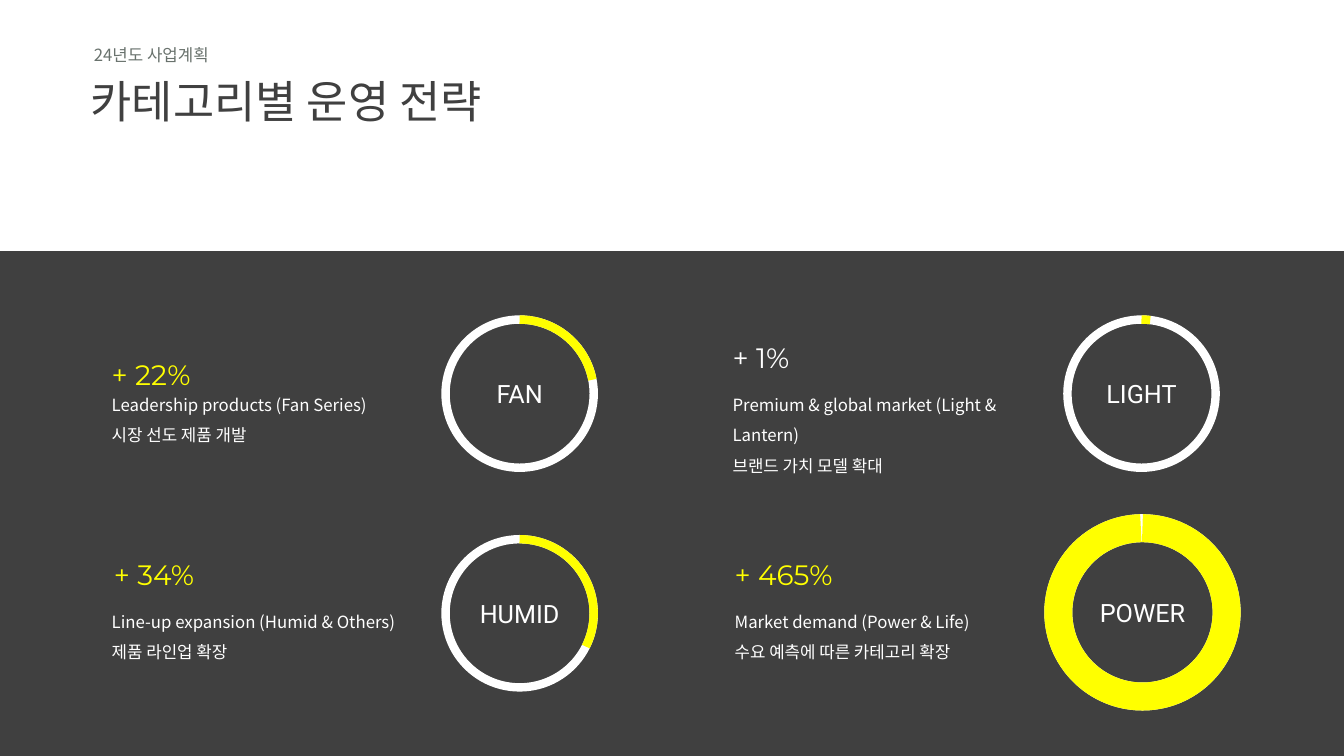
from dataclasses import dataclass

from lxml.etree import SubElement
from pptx import Presentation
from pptx.dml.color import RGBColor
from pptx.enum.shapes import MSO_SHAPE as Shape
from pptx.enum.text import MSO_ANCHOR as Anchor, MSO_AUTO_SIZE as AutoSize, PP_ALIGN as Align
from pptx.oxml.ns import qn
from pptx.util import Pt


@dataclass(frozen=True)
class Theme:
    dark: RGBColor = RGBColor(0x40, 0x40, 0x40)
    muted: RGBColor = RGBColor(0x69, 0x72, 0x6D)
    white: RGBColor = RGBColor(0xFF, 0xFF, 0xFF)
    accent: RGBColor = RGBColor(0xFF, 0xFF, 0x00)
    body_font: str = "Noto Sans CJK KR"
    figure_font: str = "Montserrat"
    label_font: str = "Roboto"
    title_size: int = 32
    figure_size: int = 20
    label_size: int = 18
    body_size: int = 12


THEME = Theme()
FULL_TURN = 216
TOP_ANGLE = 162


@dataclass(frozen=True)
class Category:
    name: str
    growth: str
    lines: tuple
    share: float
    centre: tuple
    growth_at: tuple
    lines_at: tuple
    lines_width: float = 226
    growth_color: RGBColor = THEME.accent
    growth_spacing: float = 1.0
    diameter: float = 105.84
    stroke: float = 6


CATEGORIES = (
    Category("FAN", "+ 22%", ("Leadership products (Fan Series)", "시장 선도 제품 개발"),
             0.22, (371.2, 281.2), (72.7, 239.8), (72.7, 271.4), growth_spacing=1.5),
    Category("HUMID", "+ 34%", ("Line-up expansion (Humid & Others)", "제품 라인업 확장"),
             0.3241, (371.2, 438.1), (74.2, 394.6), (72.7, 426.2)),
    Category("LIGHT", "+ 1%", ("Premium & global market (Light & Lantern)", "브랜드 가치 모델 확대"),
             0.0189, (815.4, 281.2), (516.2, 239.8), (516.2, 271.4),
             lines_width=239, growth_color=THEME.white),
    Category("POWER", "+ 465%", ("Market demand (Power & Life)", "수요 예측에 따른 카테고리 확장"),
             0.997, (816.1, 437.4), (517.7, 394.6), (517.7, 426.2), diameter=120.24, stroke=20),
)


def write(box, lines, font, size, color, spacing=1.0, align=Align.LEFT, anchor=Anchor.TOP):
    frame = box.text_frame
    frame.word_wrap = True
    frame.auto_size = AutoSize.NONE
    frame.vertical_anchor = anchor
    frame.text = "\n".join(lines)
    for para in frame.paragraphs:
        para.alignment = align
        para.line_spacing = spacing
        para.font.name = font
        para.font.size = Pt(size)
        para.font.color.rgb = color
        properties = para._p.pPr.find(qn("a:defRPr"))
        SubElement(properties, qn("a:ea")).set("typeface", font)


def add_text(page, left, top, width, height, *content, **layout):
    box = page.shapes.add_textbox(Pt(left), Pt(top), Pt(width), Pt(height))
    write(box, *content, **layout)
    return box


def set_insets(box, inset):
    frame = box.text_frame
    frame.margin_left = frame.margin_right = Pt(inset)
    frame.margin_top = frame.margin_bottom = Pt(inset)


def add_heading(page):
    title = page.shapes.title
    title.left, title.top, title.width, title.height = Pt(61.2), Pt(49), Pt(649.4), Pt(46)
    write(title, ["카테고리별 운영 전략"], THEME.body_font, THEME.title_size, THEME.dark)
    set_insets(title, 3.6)
    caption = add_text(page, 63.4, 28.1, 288, 21.6, ["24년도 사업계획"],
                       THEME.body_font, THEME.body_size, THEME.muted)
    set_insets(caption, 3.6)


def add_panel(page, top, width, height):
    panel = page.shapes.add_shape(Shape.RECTANGLE, 0, Pt(top), Pt(width), Pt(height))
    panel.shadow.inherit = False
    panel.fill.solid()
    panel.fill.fore_color.rgb = THEME.dark
    panel.line.fill.background()


def add_outline(page, kind, centre, diameter, stroke, color):
    left, top = (middle - diameter / 2 for middle in centre)
    outline = page.shapes.add_shape(kind, Pt(left), Pt(top), Pt(diameter), Pt(diameter))
    outline.shadow.inherit = False
    outline.fill.background()
    outline.line.color.rgb = color
    outline.line.width = Pt(stroke)
    return outline


def add_ring(page, category):
    size = category.centre, category.diameter, category.stroke
    add_outline(page, Shape.OVAL, *size, THEME.white)
    arc = add_outline(page, Shape.ARC, *size, THEME.accent)
    arc.adjustments[0] = TOP_ANGLE
    arc.adjustments[1] = (TOP_ANGLE + category.share * FULL_TURN) % FULL_TURN
    x, y = category.centre
    add_text(page, x - 40.3, y - 14.4, 80.6, 28.8, [category.name],
             THEME.label_font, THEME.label_size, THEME.white,
             align=Align.CENTER, anchor=Anchor.MIDDLE)


def add_category(page, category):
    add_ring(page, category)
    add_text(page, *category.growth_at, 144.7, 31.5, [category.growth],
             THEME.figure_font, THEME.figure_size, category.growth_color,
             spacing=category.growth_spacing)
    add_text(page, *category.lines_at, category.lines_width, 48.2, category.lines,
             THEME.body_font, THEME.body_size, THEME.white, spacing=1.5)


def main():
    deck = Presentation()
    deck.slide_width, deck.slide_height = Pt(960), Pt(540)
    page = deck.slides.add_slide(deck.slide_layouts[5])
    add_panel(page, 179.3, 960, 360.7)
    add_heading(page)
    for category in CATEGORIES:
        add_category(page, category)
    deck.save("out.pptx")


if __name__ == "__main__":
    main()
